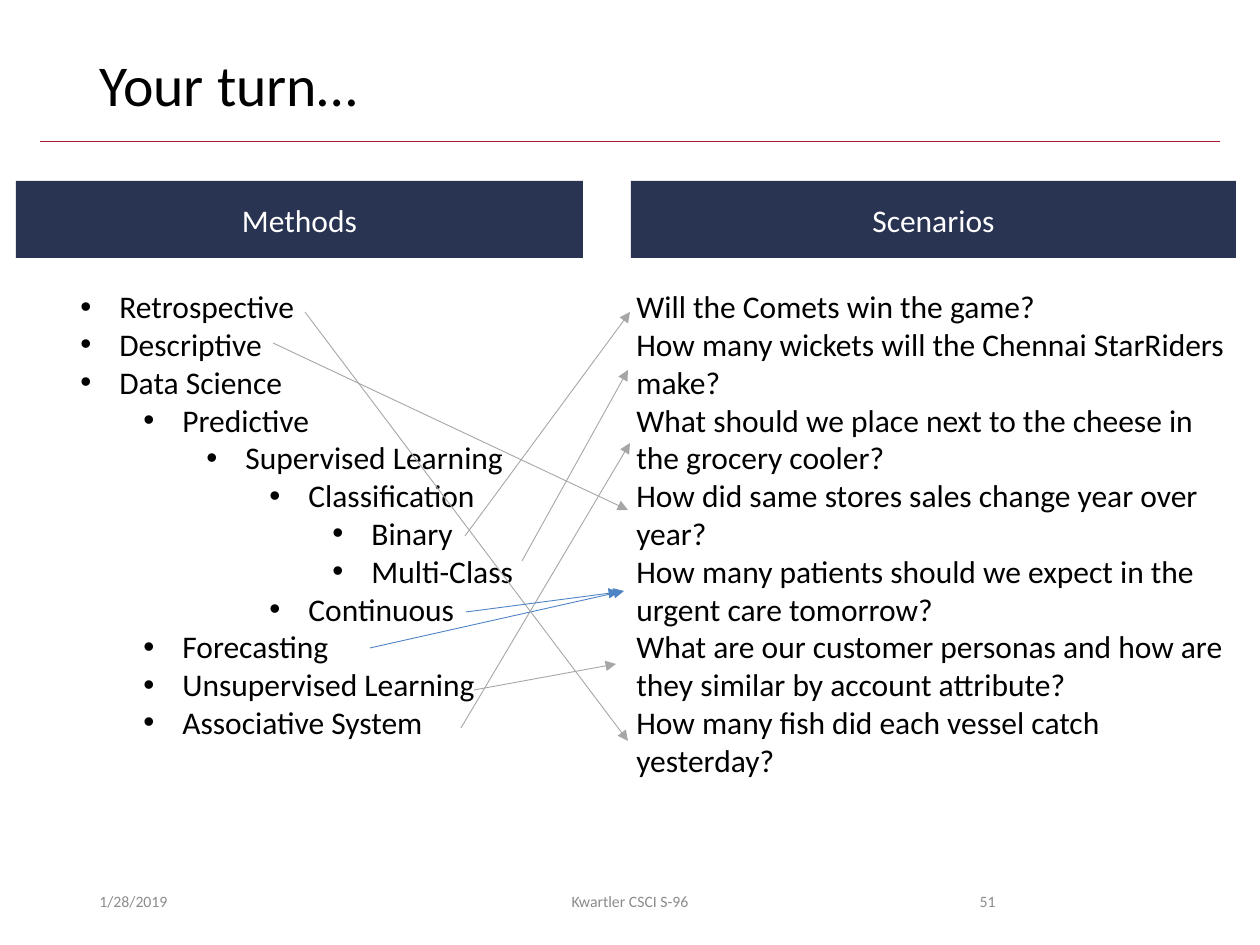
"""Build a slide that matches analytics methods to example scenarios."""
from lxml.etree import SubElement
from pptx import Presentation
from pptx.dml.color import RGBColor
from pptx.enum.shapes import MSO_CONNECTOR, MSO_SHAPE
from pptx.enum.text import MSO_ANCHOR, PP_ALIGN
from pptx.oxml.ns import qn
from pptx.util import Emu, Pt

PX = 914400 / 126
COLORS = {
    "rule": "A51C30", "bar": "293352", "gray": "A6A6A6", "blue": "4E84C4",
    "text": "000000", "footer": "8C8C8C", "white": "FFFFFF",
}


def write(sp, lines, size, color, align=PP_ALIGN.LEFT, anchor=MSO_ANCHOR.TOP, levels=None):
    tf = sp.text_frame
    for name, value in {"word_wrap": True, "vertical_anchor": anchor}.items():
        setattr(tf, name, value)
    for i, line in enumerate(lines):
        p = tf.paragraphs[0] if i == 0 else tf.add_paragraph()
        p.alignment = align
        if levels:
            p.level = levels[i]
            pPr = p._p.get_or_add_pPr()
            pPr.set("marL", str(int((39 + 63 * levels[i]) * PX)))
            pPr.set("indent", str(int(-39 * PX)))
            SubElement(pPr, qn("a:buFont")).set("typeface", "Arial")
            SubElement(pPr, qn("a:buChar")).set("char", "•")
        r = p.add_run()
        r.text = line
        for name, value in {"name": "Calibri", "size": Pt(size)}.items():
            setattr(r.font, name, value)
        r.font.color.rgb = RGBColor.from_string(COLORS[color])


def connect(points, color, arrow=True):
    cx = s.shapes.add_connector(MSO_CONNECTOR.STRAIGHT, *[Emu(int(v * PX)) for v in points])
    cx.line.width = Pt(0.5)
    cx.line.color.rgb = RGBColor.from_string(COLORS[color])
    if arrow:
        SubElement(cx.line._ln, qn("a:tailEnd")).set("type", "triangle")
    SubElement(cx._element.spPr, qn("a:effectLst"))


prs = Presentation()
prs.slide_width, prs.slide_height = Emu(int(1260 * PX)), Emu(int(945 * PX))
s = prs.slides.add_slide(prs.slide_layouts[6])

connect((40, 141, 1220, 141), "rule", arrow=False)

sp = s.shapes.add_textbox(*[Emu(int(v * PX)) for v in (87, 50, 1086, 82)])
write(sp, ["Your turn…"], 33, "text")
sp.text_frame.paragraphs[0].line_spacing = 0.9

footers = [
    ("1/28/2019", 87, 284, PP_ALIGN.LEFT),
    ("Kwartler CSCI S-96", 417, 426, PP_ALIGN.CENTER),
    ("51", 890, 118, PP_ALIGN.RIGHT),
]
for text, x, w, align in footers:
    sp = s.shapes.add_textbox(*[Emu(int(v * PX)) for v in (x, 876, w, 50)])
    write(sp, [text], 9, "footer", align, MSO_ANCHOR.MIDDLE)

methods = [
    ("Retrospective", 0), ("Descriptive", 0), ("Data Science", 0),
    ("Predictive", 1), ("Supervised Learning", 2), ("Classification", 3),
    ("Binary", 4), ("Multi-Class", 4), ("Continuous", 3),
    ("Forecasting", 1), ("Unsupervised Learning", 1), ("Associative System", 1),
]
scenarios = [
    "Will the Comets win the game?",
    "How many wickets will the Chennai StarRiders make?",
    "What should we place next to the cheese in the grocery cooler?",
    "How did same stores sales change year over year?",
    "How many patients should we expect in the urgent care tomorrow?",
    "What are our customer personas and how are they similar by account attribute?",
    "How many fish did each vessel catch yesterday?",
]
names, levels = zip(*methods)
for lines, x, w, lv in [(names, 68, 462, levels), (scenarios, 624, 626, None)]:
    sp = s.shapes.add_textbox(*[Emu(int(v * PX)) for v in (x, 281, w, 509)])
    write(sp, lines, 18, "text", levels=lv)

for text, x, w in [("Methods", 16, 567), ("Scenarios", 631, 605)]:
    sp = s.shapes.add_shape(MSO_SHAPE.RECTANGLE, *[Emu(int(v * PX)) for v in (x, 181, w, 77)])
    sp.shadow.inherit = False
    sp.fill.solid()
    sp.fill.fore_color.rgb = RGBColor.from_string(COLORS["bar"])
    sp.line.fill.background()
    write(sp, [text], 18, "white", PP_ALIGN.CENTER, MSO_ANCHOR.MIDDLE)

arrows = [
    ((465, 536, 630, 312), "gray"),
    ((522, 561, 628, 370), "gray"),
    ((461, 728, 630, 443), "gray"),
    ((370, 648, 624, 591), "blue"),
    ((474, 690, 616, 664), "gray"),
    ((305, 312, 628, 741), "gray"),
    ((273, 343, 628, 510), "gray"),
    ((466, 612, 619, 592), "blue"),
]
for points, color in arrows:
    connect(points, color)

prs.save("out.pptx")
